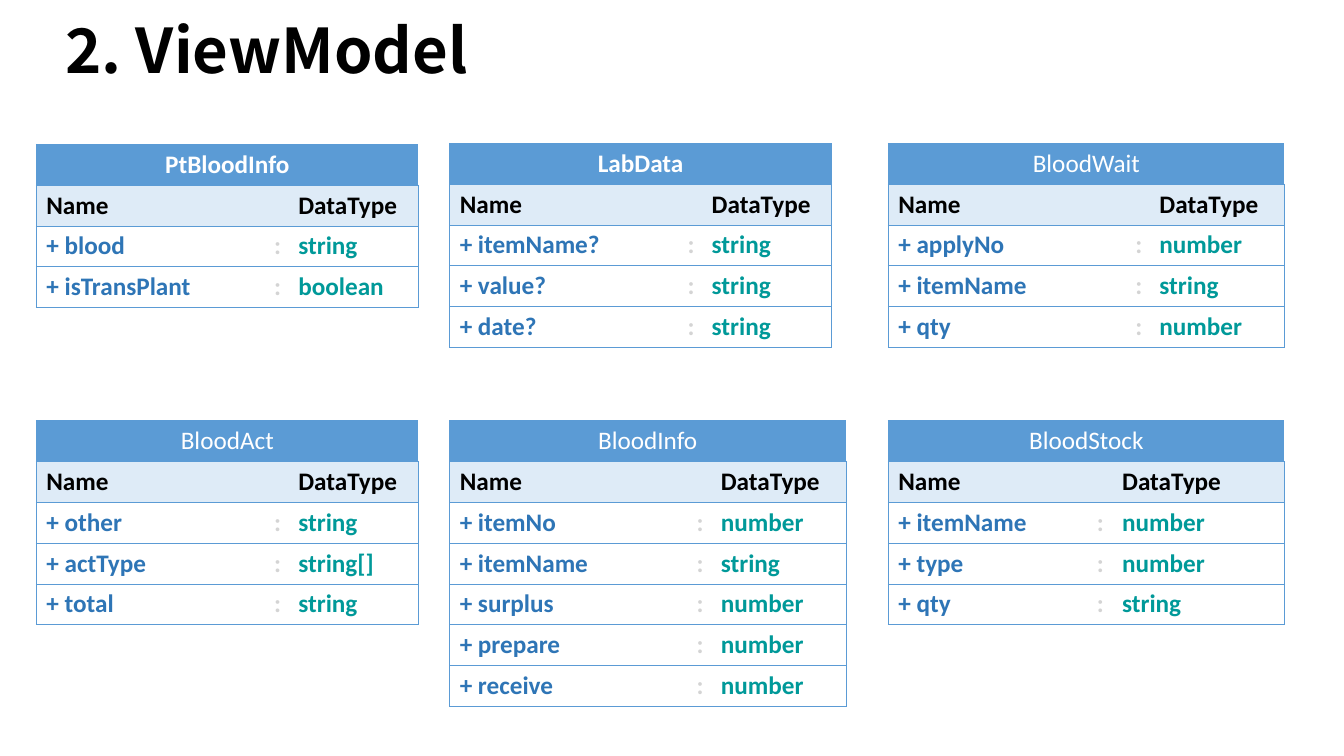
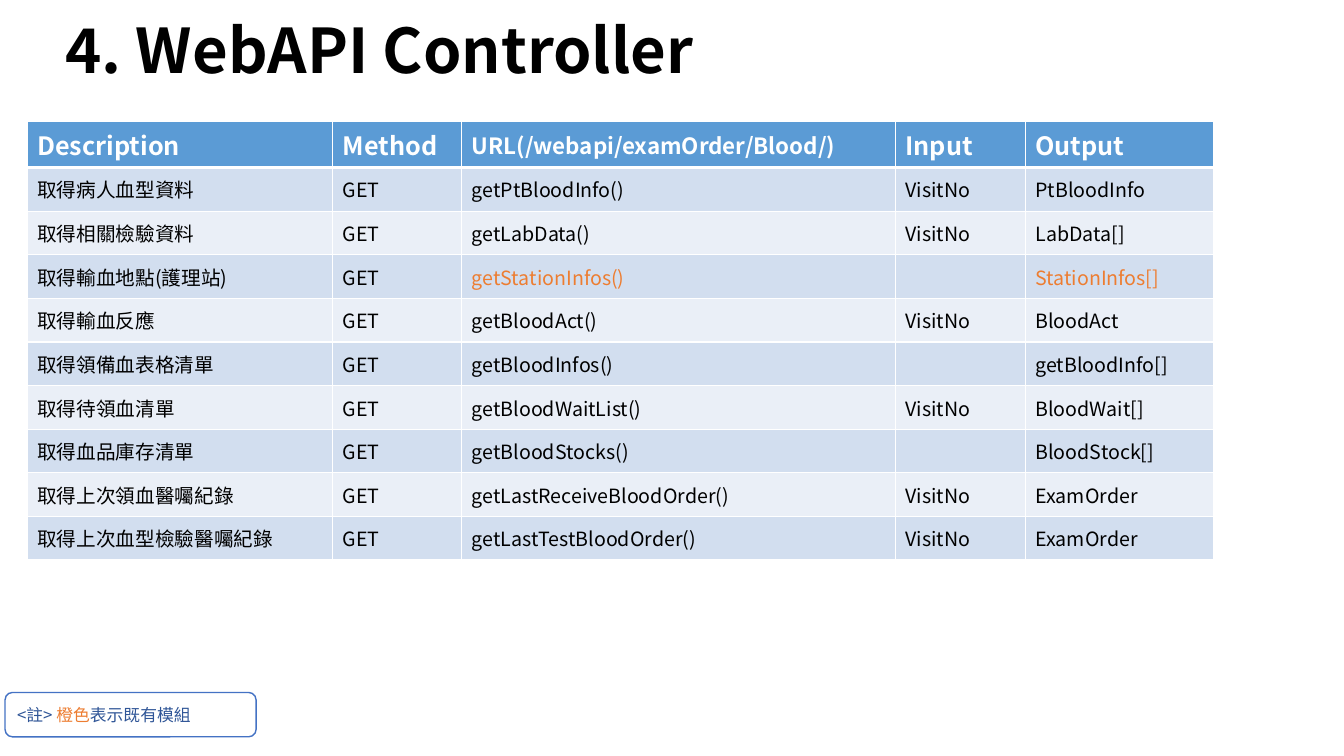
"""Build the ViewModel and WebAPI Controller slides."""
from lxml.etree import SubElement
from pptx import Presentation
from pptx.dml.color import RGBColor
from pptx.enum.shapes import MSO_SHAPE
from pptx.enum.text import MSO_ANCHOR, MSO_AUTO_SIZE, PP_ALIGN
from pptx.oxml.ns import qn
from pptx.util import Inches, Pt

CJK_FONT = "Noto Sans CJK SC"
MODEL_FONT = "Calibri"
BLACK = "000000"
WHITE = "FFFFFF"
BLUE = "5B9BD5"
PALE_BLUE = "DEEBF7"
NAME_BLUE = "2E75B6"
TEAL = "009999"
GRAY = "D4D4D4"
ORANGE = "ED7D31"
NOTE_BLUE = "2F5597"
BANDS = ["D2DEEF", "EAEFF7"]
color = RGBColor.from_string


def add_run(paragraph, text, size, hex_color, font_name=CJK_FONT, bold=False):
    run = paragraph.add_run()
    run.text = text
    run.font.size = Pt(size)
    run.font.name = font_name
    run.font.bold = bold
    run.font.color.rgb = color(hex_color)
    SubElement(run.font._element, qn("a:ea"), typeface=font_name)


def format_cell(cell, fill, border_color, border_widths):
    properties = cell._tc.get_or_add_tcPr()
    for side, width in zip("LRTB", border_widths):
        border = SubElement(properties, qn(f"a:ln{side}"), w=str(Pt(width)))
        if width:
            solid_fill = SubElement(border, qn("a:solidFill"))
            SubElement(solid_fill, qn("a:srgbClr"), val=border_color)
        else:
            SubElement(border, qn("a:noFill"))
    if fill:
        cell.fill.solid()
        cell.fill.fore_color.rgb = color(fill)
    else:
        cell.fill.background()


presentation = Presentation()
presentation.slide_width = Inches(13.33)
presentation.slide_height = Inches(7.5)

slides = []
for title_text in ["2. ViewModel", "4. WebAPI Controller"]:
    slide = presentation.slides.add_slide(presentation.slide_layouts[5])
    title = slide.shapes.title
    title.left, title.top = Inches(0.55), Inches(0.14)
    title.width, title.height = Inches(12.17), Inches(0.78)
    title.text_frame.auto_size = MSO_AUTO_SIZE.NONE
    title.text_frame.vertical_anchor = MSO_ANCHOR.MIDDLE
    paragraph = title.text_frame.paragraphs[0]
    paragraph.alignment = PP_ALIGN.LEFT
    paragraph.line_spacing = 0.9
    add_run(paragraph, title_text, 44, BLACK, bold=True)
    slides.append(slide)
model_slide, api_slide = slides

NARROW = [2.26, 0.23, 1.29]
WIDE = [2.35, 0.24, 1.34]
STOCK = [1.97, 0.25, 1.71]
models = [
    ("PtBloodInfo", 0.36, 1.43, NARROW, True,
     [("blood", "string"), ("isTransPlant", "boolean")]),
    ("LabData", 4.46, 1.42, NARROW, True,
     [("itemName?", "string"), ("value?", "string"), ("date?", "string")]),
    ("BloodWait", 8.81, 1.42, WIDE, False,
     [("applyNo", "number"), ("itemName", "string"), ("qty", "number")]),
    ("BloodAct", 0.36, 4.17, NARROW, False,
     [("other", "string"), ("actType", "string[]"), ("total", "string")]),
    ("BloodInfo", 4.46, 4.17, WIDE, False,
     [("itemNo", "number"), ("itemName", "string"), ("surplus", "number"),
      ("prepare", "number"), ("receive", "number")]),
    ("BloodStock", 8.81, 4.17, STOCK, False,
     [("itemName", "number"), ("type", "number"), ("qty", "string")]),
]
ROW_HEIGHT = 0.4
for model_name, left, top, widths, bold_header, fields in models:
    row_count = len(fields) + 2
    table = model_slide.shapes.add_table(
        row_count, 3, Inches(left), Inches(top),
        Inches(sum(widths)), Inches(ROW_HEIGHT * row_count)).table
    table.first_row = table.horz_banding = False
    for column, width in zip(table.columns, widths):
        column.width = Inches(width)
    rows = [(model_name, "", ""), ("Name", "", "DataType")]
    rows += [(f"+ {name}", ":", data_type) for name, data_type in fields]
    for row_index, row in enumerate(rows):
        fill = [BLUE, PALE_BLUE][row_index] if row_index < 2 else None
        text_colors = [[WHITE] * 3, [BLACK] * 3, [NAME_BLUE, GRAY, TEAL]][min(row_index, 2)]
        for column_index, text in enumerate(row):
            cell = table.cell(row_index, column_index)
            left_width = 0.5 if column_index == 0 else 0
            right_width = 0.5 if column_index == 2 else 0
            format_cell(cell, fill, BLUE, [left_width, right_width, 0.5, 0.5])
            if text:
                add_run(cell.text_frame.paragraphs[0], text, 18, text_colors[column_index],
                        MODEL_FONT, bold_header if row_index == 0 else True)
    table.cell(0, 0).merge(table.cell(0, 2))
    table.cell(0, 0).text_frame.paragraphs[0].alignment = PP_ALIGN.CENTER

api_rows = [
    ("Description", "Method", "URL(/webapi/examOrder/Blood/)", "Input", "Output"),
    ("取得病人血型資料", "GET", "getPtBloodInfo()", "VisitNo", "PtBloodInfo"),
    ("取得相關檢驗資料", "GET", "getLabData()", "VisitNo", "LabData[]"),
    ("取得輸血地點(護理站)", "GET", "getStationInfos()", "", "StationInfos[]"),
    ("取得輸血反應", "GET", "getBloodAct()", "VisitNo", "BloodAct"),
    ("取得領備血表格清單", "GET", "getBloodInfos()", "", "getBloodInfo[]"),
    ("取得待領血清單", "GET", "getBloodWaitList()", "VisitNo", "BloodWait[]"),
    ("取得血品庫存清單", "GET", "getBloodStocks()", "", "BloodStock[]"),
    ("取得上次領血醫囑紀錄", "GET", "getLastReceiveBloodOrder()", "VisitNo", "ExamOrder"),
    ("取得上次血型檢驗醫囑紀錄", "GET", "getLastTestBloodOrder()", "VisitNo", "ExamOrder"),
]
api_widths = [3.03, 1.28, 4.3, 1.29, 1.87]
table = api_slide.shapes.add_table(
    len(api_rows), len(api_widths), Inches(0.27), Inches(1.2),
    Inches(sum(api_widths)), Inches(0.433 * len(api_rows))).table
for column, width in zip(table.columns, api_widths):
    column.width = Inches(width)
for row_index, row in enumerate(api_rows):
    is_header = row_index == 0
    fill = BLUE if is_header else BANDS[(row_index - 1) % 2]
    top_width = 3 if row_index == 1 else 1
    bottom_width = 3 if is_header else 1
    for column_index, text in enumerate(row):
        cell = table.cell(row_index, column_index)
        cell.vertical_anchor = MSO_ANCHOR.MIDDLE
        format_cell(cell, fill, WHITE, [1, 1, top_width, bottom_width])
        if is_header:
            size, text_color = (16 if text.startswith("URL") else 18), WHITE
        else:
            size, text_color = 14, (ORANGE if "StationInfos" in text else BLACK)
        if text:
            add_run(cell.text_frame.paragraphs[0], text, size, text_color, bold=is_header)

note = api_slide.shapes.add_shape(
    MSO_SHAPE.ROUNDED_RECTANGLE, Inches(0.05), Inches(6.87), Inches(2.49), Inches(0.44))
note.shadow.inherit = False
note.fill.solid()
note.fill.fore_color.rgb = color(WHITE)
note.line.color.rgb = color("4472C4")
note.line.width = Pt(1)
note.text_frame.word_wrap = True
note.text_frame.vertical_anchor = MSO_ANCHOR.MIDDLE
paragraph = note.text_frame.paragraphs[0]
paragraph.alignment = PP_ALIGN.LEFT
for text, text_color in [("<註> ", NOTE_BLUE), ("橙色", ORANGE), ("表示既有模組", NOTE_BLUE)]:
    add_run(paragraph, text, 12, text_color)

presentation.save("out.pptx")
